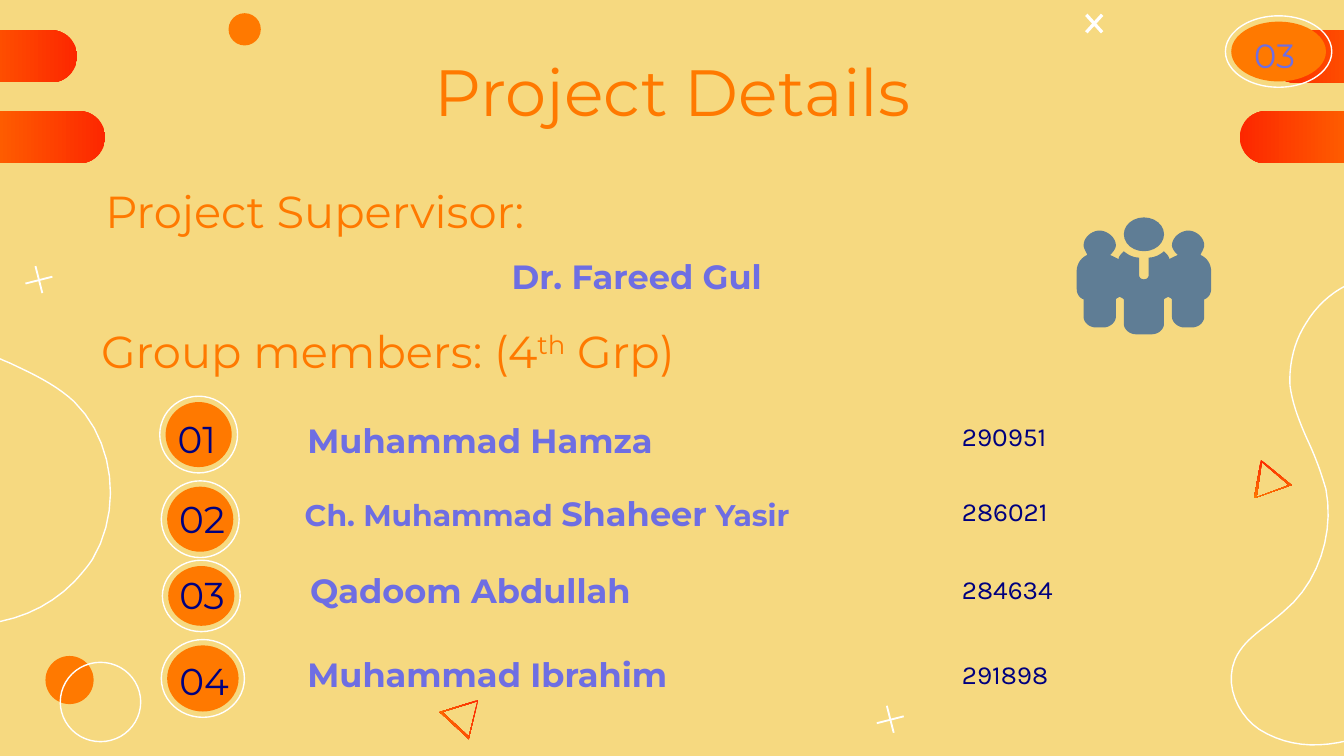
from lxml import etree
from pptx import Presentation
from pptx.dml.color import RGBColor
from pptx.enum.shapes import MSO_CONNECTOR, MSO_SHAPE
from pptx.enum.text import MSO_ANCHOR, PP_ALIGN
from pptx.oxml.ns import qn
from pptx.util import Cm, Pt

ELLIPSE, TAB = MSO_SHAPE.OVAL, MSO_SHAPE.ROUND_2_SAME_RECTANGLE
STRAIGHT = MSO_CONNECTOR.STRAIGHT
MIDDLE = MSO_ANCHOR.MIDDLE
LEFT, CENTER = PP_ALIGN.LEFT, PP_ALIGN.CENTER
ORANGE, RED, WHITE = "FF7900", "FD2700", "FFFFFF"
VIOLET, NAVY, SLATE = "6E6EE3", "00007E", "5F7D95"
rgb = RGBColor.from_string

prs = Presentation()
prs.slide_width, prs.slide_height = Cm(25.4), Cm(14.29)
slide = prs.slides.add_slide(prs.slide_layouts[6])
shapes = slide.shapes
slide.background.fill.solid()
slide.background.fill.fore_color.rgb = rgb("F6D980")


def trace(start, segments, steps=10):
    """Return the points of a path; a segment is (end,) or (control, control, end)."""
    points = [start]
    for segment in segments:
        if len(segment) == 1:
            points.append(segment[0])
            continue
        corners = (points[-1], *segment)
        for i in range(1, steps + 1):
            t = i / steps
            weights = ((1 - t) ** 3, 3 * t * (1 - t) ** 2, 3 * t * t * (1 - t), t ** 3)
            points.append(tuple(sum(w * c[axis] for w, c in zip(weights, corners))
                                for axis in (0, 1)))
    return points


def add_text(left, middle, width, runs, size, color, font="Montserrat",
             bold=False, align=LEFT):
    """Add one line centred on the height middle; a run is a text or (text, size)."""
    tf = shapes.add_textbox(Cm(left), Cm(middle - 0.5), Cm(width), Cm(1)).text_frame
    tf.word_wrap = True
    tf.vertical_anchor = MIDDLE
    p = tf.paragraphs[0]
    p.alignment = align
    p.font.name, p.font.size, p.font.bold = font, Pt(size), bold
    p.font.color.rgb = rgb(color)
    for run in runs:
        r = p.add_run()
        if isinstance(run, tuple):
            r.text = run[0]
            r.font.size = Pt(run[1])
        else:
            r.text = run
    return p


# Gradient tabs and triangles
gradient_shapes = []
for left, top, rotation in ((-0.03, 1.07, 90), (-0.56, -0.46, 90),
                            (24.46, 1.07, 270), (24.99, -0.46, 270)):
    s = shapes.add_shape(TAB, Cm(left), Cm(top), Cm(0.99), Cm(3.05))
    s.rotation = rotation
    s.adjustments[0] = 0.5
    gradient_shapes.append((s, 270))

triangles = (
    (((23.83, 8.69), (23.7, 9.42), (24.41, 9.17)),
     ((23.85, 8.74), (24.36, 9.17), (23.75, 9.4)), 270),
    (((9.04, 13.23), (8.31, 13.46), (8.86, 13.97)),
     ((9.02, 13.26), (8.86, 13.92), (8.36, 13.46)), 207),
)
for outer, inner, angle in triangles:
    outer, inner = ([(Cm(x), Cm(y)) for x, y in side] for side in (outer, inner))
    builder = shapes.build_freeform(*outer[0])
    builder.add_line_segments(outer[1:])
    builder.move_to(*inner[0])
    builder.add_line_segments(inner[1:])
    gradient_shapes.append((builder.convert_to_shape(), angle))

for s, angle in gradient_shapes:
    s.shadow.inherit = False
    s.line.fill.background()
    s.fill.gradient()
    s.fill.gradient_angle = angle
    for stop, color in zip(s.fill.gradient_stops, (RED, ORANGE)):
        stop.color.rgb = rgb(color)

# Waves at both edges
right_wave = trace((25.65, 5.31), (
    ((25.27, 5.44), (24.92, 5.72), (24.69, 6.1)),
    ((24.46, 6.45), (24.36, 6.88), (24.38, 7.29)),
    ((24.43, 7.67), (24.59, 8.05), (24.74, 8.38)),
    ((24.87, 8.66), (24.97, 8.94), (25.06, 9.25)),
    ((25.22, 10.08), (24.92, 11.02), (24.26, 11.56)),
    ((24.18, 11.63), (24.08, 11.71), (23.98, 11.79)),
    ((23.72, 11.99), (23.47, 12.17), (23.34, 12.47)),
    ((23.14, 12.95), (23.39, 13.51), (23.8, 13.79)),
    ((24.31, 14.1), (24.84, 14.15), (25.48, 14)),
))
left_wave = trace((-0.84, 6.3), (
    ((-0.53, 6.53), (-0.18, 6.71), (0.18, 6.86)),
    ((0.61, 7.06), (1.04, 7.26), (1.4, 7.59)),
    ((2.16, 8.33), (2.31, 9.63), (1.75, 10.57)),
    ((1.65, 10.72), (1.52, 10.87), (1.4, 11)),
    ((0.79, 11.63), (-0.18, 11.94), (-1.04, 11.73)),
))

# Right half of the three people, measured from their axis and top
half = trace((0, 2.21), (
    ((0.15, 2.21),), ((0.28, 2.21), (0.38, 2.11), (0.38, 2.01)),
    ((0.38, 1.55),), ((0.41, 1.52), (0.43, 1.52), (0.46, 1.5)),
    ((0.48, 1.52), (0.51, 1.52), (0.53, 1.55)),
    ((0.53, 1.88),), ((0.53, 1.98), (0.64, 2.08), (0.76, 2.08)),
    ((0.91, 2.08),), ((1.04, 2.08), (1.14, 1.98), (1.14, 1.88)),
    ((1.14, 1.55),), ((1.22, 1.52), (1.27, 1.45), (1.27, 1.35)),
    ((1.27, 1.04),), ((1.28, 0.89), (1.19, 0.76), (1.07, 0.71)),
    ((1.09, 0.66), (1.14, 0.58), (1.14, 0.53)),
    ((1.14, 0.38), (0.99, 0.25), (0.84, 0.25)),
    ((0.69, 0.25), (0.53, 0.38), (0.53, 0.53)),
    ((0.53, 0.58), (0.58, 0.66), (0.64, 0.71)),
    ((0.58, 0.74), (0.53, 0.76), (0.48, 0.79)),
    ((0.48, 0.74), (0.43, 0.69), (0.38, 0.64)),
    ((0.3, 0.71), (0.2, 0.76), (0.09, 0.76)),
    ((0.09, 1.09),), ((0.09, 1.14), (0.05, 1.17), (0, 1.17)),
))
AXIS, TOP = 21.62, 4.11
people = [(AXIS + x, TOP + y) for x, y in half + [(-x, y) for x, y in half[::-1]]]

for outline, filled in ((right_wave, False), (left_wave, False), (people, True)):
    points = [(Cm(x), Cm(y)) for x, y in outline]
    builder = shapes.build_freeform(*points[0])
    builder.add_line_segments(points[1:], close=filled)
    s = builder.convert_to_shape()
    s.shadow.inherit = False
    if filled:
        s.fill.solid()
        s.fill.fore_color.rgb = rgb(SLATE)
        s.line.fill.background()
    else:
        s.fill.background()
        s.line.color.rgb = rgb(WHITE)
        s.line.width = Pt(0.75)

# Crosses
crosses = [(20.53, 0.28, 20.83, 0.61, 1.75), (20.83, 0.28, 20.53, 0.61, 1.75)]
for dx, dy in ((0, 0), (16.09, 8.31)):
    crosses += [(0.48 + dx, 5.36 + dy, 0.99 + dx, 5.23 + dy, 1),
                (0.67 + dx, 5.03 + dy, 0.8 + dx, 5.54 + dy, 1)]
for x1, y1, x2, y2, weight in crosses:
    s = shapes.add_connector(STRAIGHT, Cm(x1), Cm(y1), Cm(x2), Cm(y2))
    s.line.color.rgb = rgb(WHITE)
    s.line.width = Pt(weight)
    etree.SubElement(s._element.spPr, qn("a:effectLst"))

# Discs and rings; a ring has no fill
ellipses = [(4.32, 0.25, 0.61, 0.61, ORANGE), (0.86, 12.4, 0.91, 0.91, ORANGE),
            (1.14, 12.52, 1.52, 1.5, None), (AXIS - 0.38, TOP, 0.76, 0.64, SLATE)]
INSET = 0.11
for left, top, width, height in (
        (3.02, 7.49, 1.47, 1.45), (3.05, 9.09, 1.47, 1.45), (3.07, 10.59, 1.47, 1.35),
        (3.05, 12.09, 1.57, 1.47), (23.16, 0.3, 2.01, 1.35)):
    ellipses += [(left, top, width, height, None),
                 (left + INSET, top + INSET, width - 2 * INSET, height - 2 * INSET, ORANGE)]
for left, top, width, height, color in ellipses:
    s = shapes.add_shape(ELLIPSE, Cm(left), Cm(top), Cm(width), Cm(height))
    s.shadow.inherit = False
    if color:
        s.fill.solid()
        s.fill.fore_color.rgb = rgb(color)
        s.line.fill.background()
    else:
        s.fill.background()
        s.line.color.rgb = rgb(WHITE)
        s.line.width = Pt(0.75)

# Headings
add_text(2.01, 1.71, 21.41, ["Project Details"], 35, ORANGE, align=CENTER)
add_text(0.64, 3.98, 10.62, ["Project Supervisor:"], 24, ORANGE, align=CENTER)
add_text(9.42, 5.22, 6.5, ["Dr. Fareed Gul"], 18, VIOLET, bold=True)
p = add_text(1.07, 6.62, 12.52, ["Group members: (4", "th", " Grp)"], 24, ORANGE, align=CENTER)
p.runs[1]._r.get_or_add_rPr().set("baseline", "30000")
p = add_text(23.29, 1.12, 1.6, ["03"], 18, VIOLET, align=CENTER)
p.line_spacing = 0.8

# Members: number left and middle, name left and middle, name, id middle, id
members = (
    (2.77, 8.29, 5.56, 8.32, ["Muhammad Hamza"], 8.24, "290951"),
    (2.87, 9.8, 5.51, 9.69, [("Ch. Muhammad ", 16), ("Shaheer", 18), (" Yasir", 16)],
     9.66, "286021"),
    (2.87, 11.24, 5.61, 11.15, ["Qadoom Abdullah"], 11.14, "284634"),
    (2.91, 12.87, 5.56, 12.75, ["Muhammad Ibrahim"], 12.74, "291898"),
)
for i, (num_x, num_y, name_x, name_y, name, id_y, student_id) in enumerate(members, 1):
    add_text(num_x, num_y, 1.9, [f"{i:02}"], 20, NAVY, align=CENTER)
    add_text(name_x, name_y, 10.06, name, 18, VIOLET, bold=True)
    add_text(17.93, id_y, 6.3, [student_id], 14, NAVY, font="Karla")

prs.save("out.pptx")
